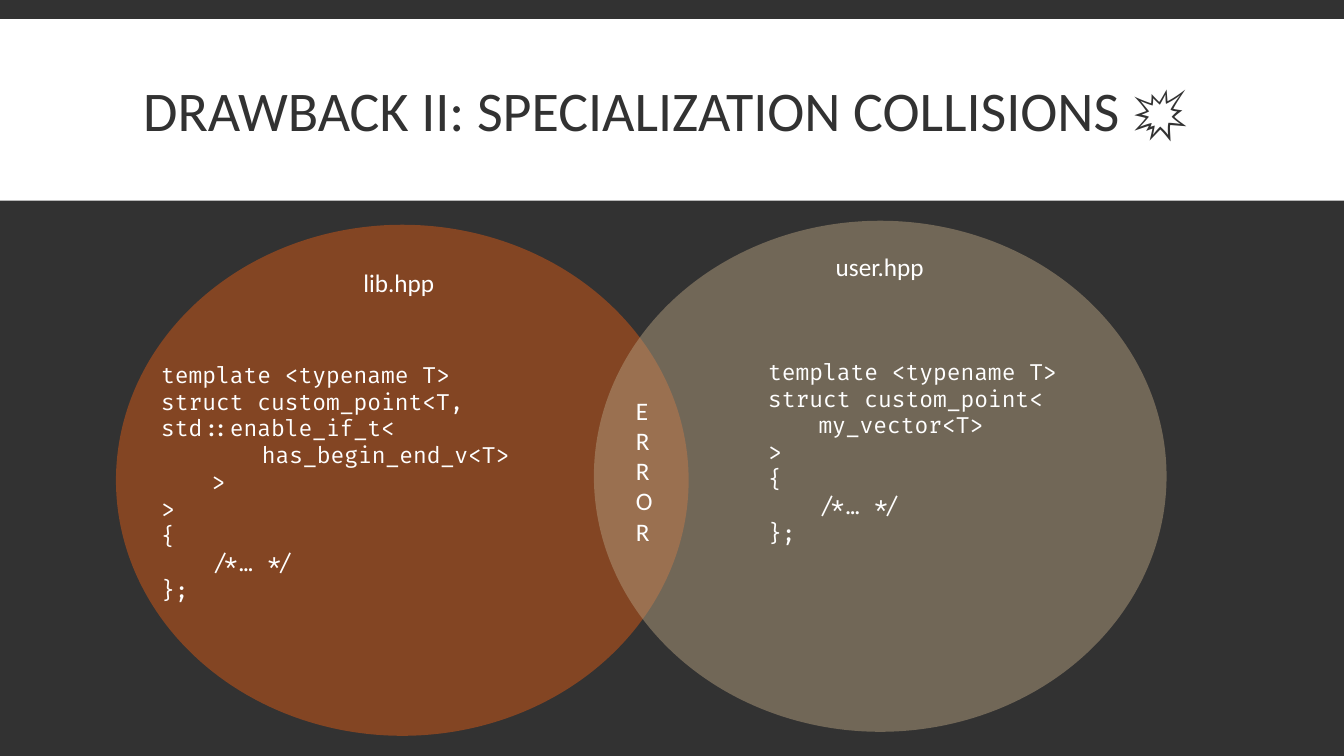
"""Build a slide on specialization collisions as two overlapping circles."""
from dataclasses import dataclass

from lxml import etree
from pptx import Presentation
from pptx import util as u
from pptx.dml.color import RGBColor
from pptx.enum import shapes, text
from pptx.oxml.ns import qn

DARK = "323232"
WHITE = "FFFFFF"
BODY = "Calibri"
CODE = "Fira Code"
LIB = """template <typename T>
struct custom_point<T, \tstd::enable_if_t<
\t\thas_begin_end_v<T>
\t>
>
{
\t/*… */
};"""
USER = """template <typename T>
struct custom_point<
\tmy_vector<T>
>
{
\t/*… */
};"""


@dataclass
class Box:
    left: float
    top: float
    width: float
    height: float

    def place(self) -> list:
        return [u.Inches(n) for n in (self.left, self.top, self.width, self.height)]


@dataclass
class Area:
    box: Box
    kind: shapes.MSO_SHAPE
    color: str
    alpha: int = 100


@dataclass
class Label:
    box: Box
    words: str
    size: int = 18
    font: str = BODY
    align: text.PP_ALIGN = text.PP_ALIGN.LEFT
    anchor: text.MSO_ANCHOR = text.MSO_ANCHOR.TOP


BAND = Area(Box(0, 0.19, 13.33, 1.8), shapes.MSO_SHAPE.RECTANGLE, WHITE)
CIRCLES = [
    Area(Box(1.15, 2.23, 5.68, 5.07), shapes.MSO_SHAPE.OVAL, "D55816", 50),
    Area(Box(5.89, 2.19, 5.68, 5.07), shapes.MSO_SHAPE.OVAL, "B19C7D", 50),
]
CENTER = {"align": text.PP_ALIGN.CENTER, "anchor": text.MSO_ANCHOR.MIDDLE}
LABELS = [
    Label(Box(1.5, 3.53, 4.28, 2.52), LIB, 16, CODE),
    Label(Box(7.52, 3.5, 3.94, 1.99), USER, 16, CODE),
    Label(Box(2.83, 2.6, 2.25, 0.4), "lib.hpp", **CENTER),
    Label(Box(7.6, 2.44, 2.25, 0.4), "user.hpp", **CENTER),
    Label(Box(6.21, 3.87, 0.47, 1.62), "E R R O R"),
]
TITLE = Label(Box(1.32, 0.31, 11.79, 1.65), "DRAWBACK II: SPECIALIZATION COLLISIONS 💥",
              40, anchor=text.MSO_ANCHOR.MIDDLE)


def paint(fill, color: str) -> None:
    fill.solid()
    fill.fore_color.rgb = RGBColor.from_string(color)


def draw(slide, area: Area):
    shape = slide.shapes.add_shape(area.kind, *area.box.place())
    shape.shadow.inherit = False
    shape.line.fill.background()
    paint(shape.fill, area.color)
    if area.alpha < 100:
        tone = shape.element.spPr.find(".//" + qn("a:srgbClr"))
        etree.SubElement(tone, qn("a:alpha"), val=str(area.alpha * 1000))
    return shape


def write(shape, label: Label, color: str) -> None:
    frame = shape.text_frame
    frame.text = label.words
    frame.word_wrap = True
    frame.auto_size = text.MSO_AUTO_SIZE.NONE
    frame.vertical_anchor = label.anchor
    for line in frame.paragraphs:
        line.alignment = label.align
        line.font.name = label.font
        line.font.size = u.Pt(label.size)
        paint(line.font.fill, color)


def main() -> None:
    deck = Presentation()
    deck.slide_width, deck.slide_height = u.Inches(13.33), u.Inches(7.5)
    slide = deck.slides.add_slide(deck.slide_layouts[5])
    paint(slide.background.fill, DARK)

    band = draw(slide, BAND)
    title = slide.shapes.title
    band.element.addnext(title.element)
    title.left, title.top, title.width, title.height = TITLE.box.place()
    write(title, TITLE, DARK)
    title.text_frame.paragraphs[0].line_spacing = 0.85

    for area in CIRCLES:
        draw(slide, area)
    for label in LABELS:
        write(slide.shapes.add_textbox(*label.box.place()), label, WHITE)
    deck.save("out.pptx")


if __name__ == "__main__":
    main()
